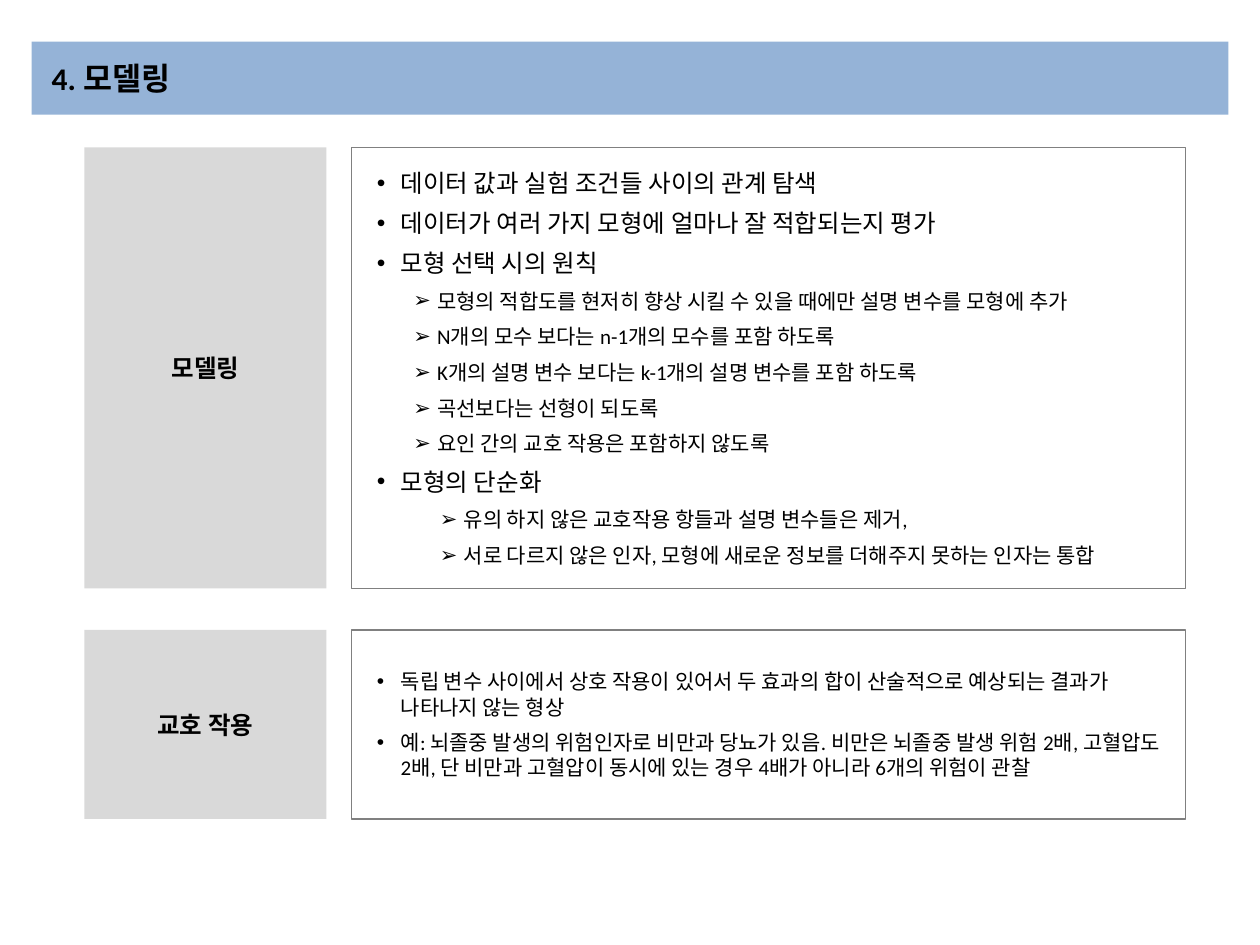
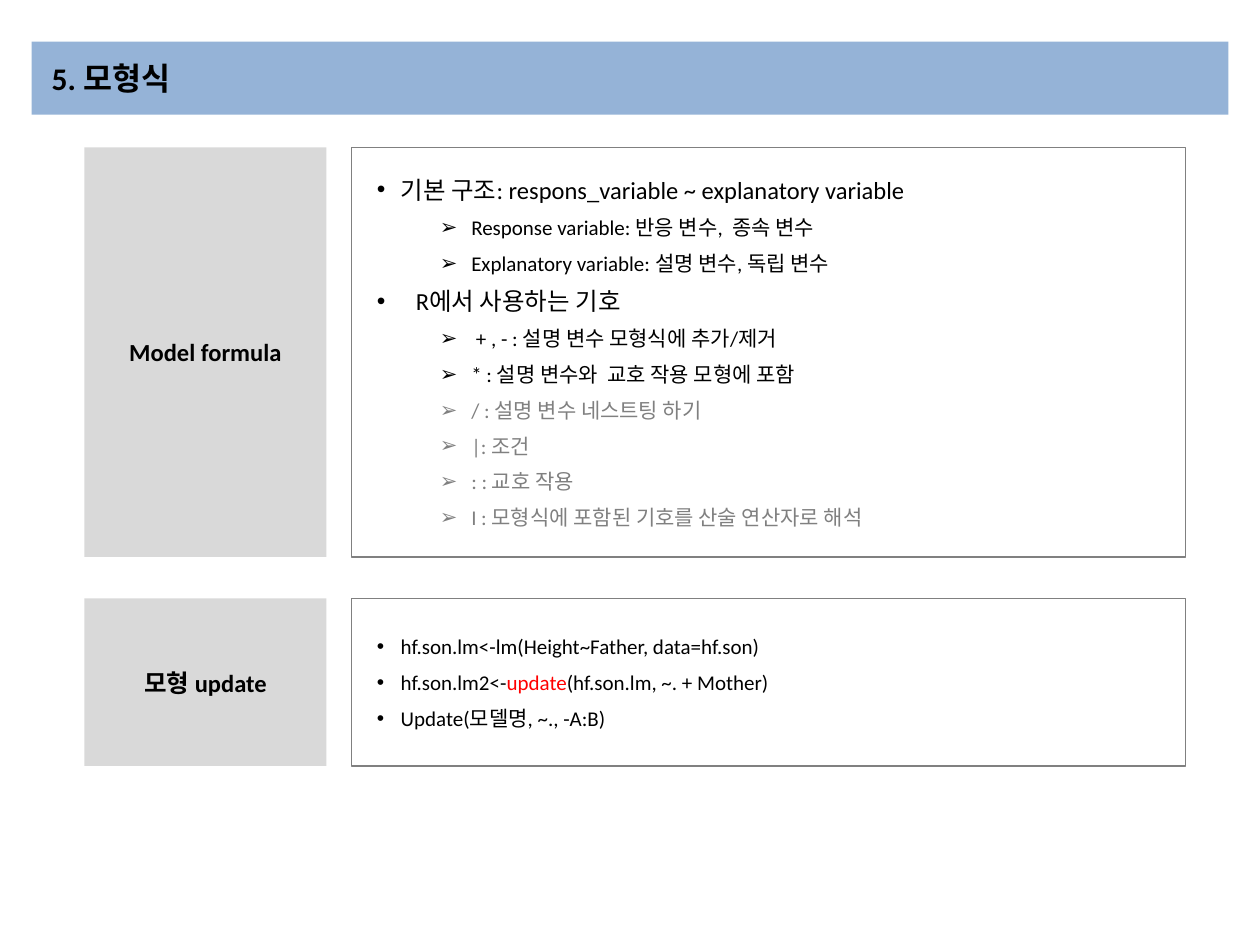
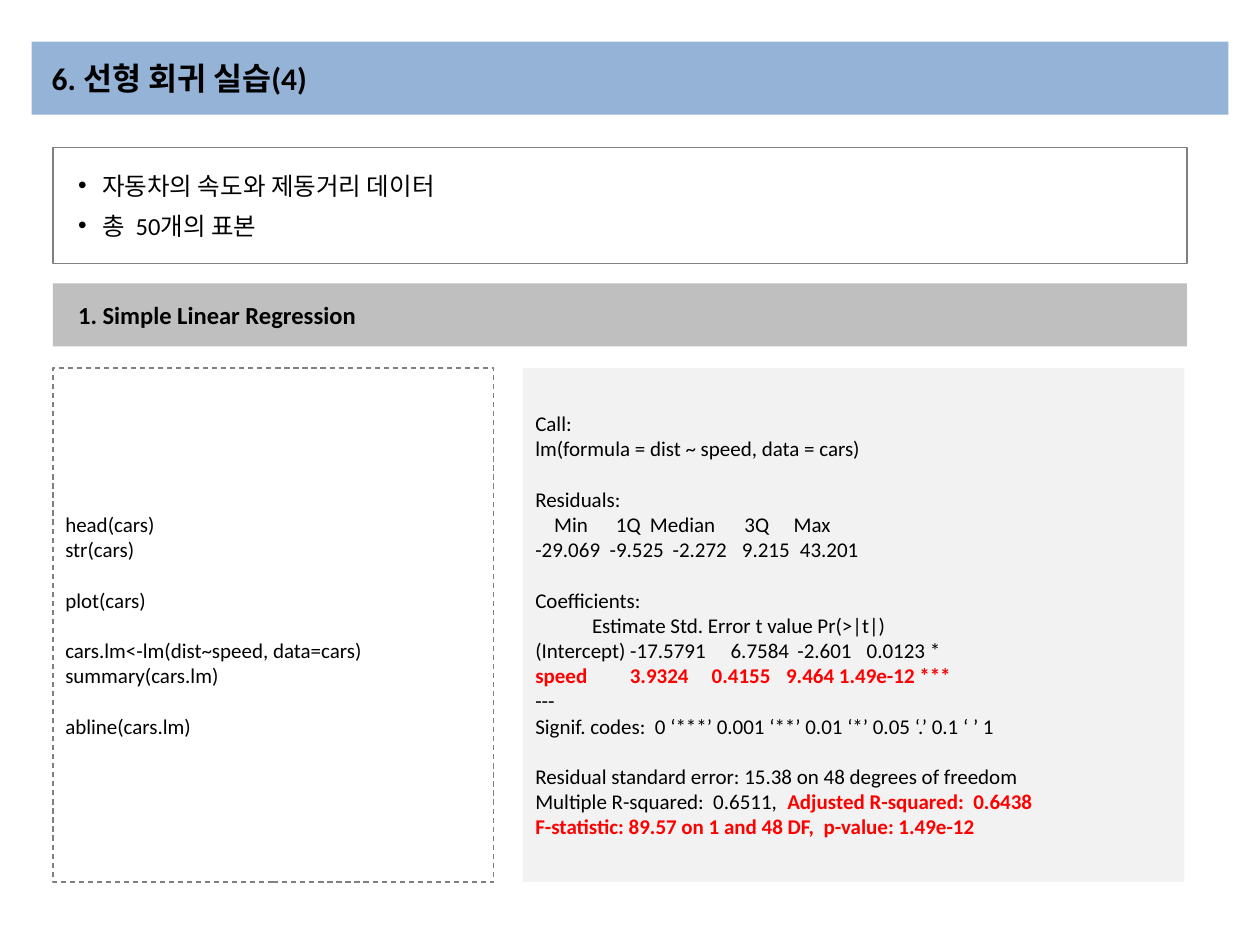
from lxml import etree
from pptx import Presentation
from pptx.dml.color import RGBColor
from pptx.enum.dml import MSO_LINE
from pptx.enum.shapes import MSO_SHAPE
from pptx.enum.text import MSO_ANCHOR, MSO_AUTO_SIZE, PP_ALIGN
from pptx.oxml.ns import qn
from pptx.util import Inches, Pt

RECT = MSO_SHAPE.RECTANGLE
MIDDLE = MSO_ANCHOR.MIDDLE
FIXED = MSO_AUTO_SIZE.NONE
LEFT, CENTER = PP_ALIGN.LEFT, PP_ALIGN.CENTER
DASH = MSO_LINE.DASH

FONT = "Calibri"
HUE = {"band": "95B3D7", "label": "D9D9D9", "bar": "BFBFBF", "panel": "F2F2F2",
       "line": "808080", "dim": "808080", "ink": "000000", "hot": "FF0000"}
BAND = (0.25, 0.33, 9.5, 0.58)
TOP = 1.17
LINE = 14.4

KINDS = {
    "main": (0, 0.29, 0.19, "•", 14, "ink"),
    "wide": (0, 0.41, 0.31, "•", 14, "ink"),
    "note": (0, 0.29, 0.19, "•", 12, "ink"),
    "sub": (1, 0.58, 0.19, "➢", 12, "ink"),
    "deep": (1, 0.79, 0.19, "➢", 12, "ink"),
    "term": (1, 0.85, 0.25, "➢", 12, "ink"),
    "dim": (1, 0.85, 0.25, "➢", 12, "dim"),
}


def paint(font, size, hue="ink", bold=False):
    """Set the face, size, colour and weight of a font."""
    font.name, font.size, font.bold = FONT, Pt(size), bold
    font.color.rgb = RGBColor.from_string(HUE[hue])


def place(shape, box):
    """Move a shape to a box given in inches."""
    shape.left, shape.top, shape.width, shape.height = map(Inches, box)


def dress(shape, fill=None, line=None, dash=None):
    """Set fill, outline and the middle anchor of a shape."""
    if fill:
        shape.fill.solid()
        shape.fill.fore_color.rgb = RGBColor.from_string(HUE[fill])
    else:
        shape.fill.background()
    if line:
        shape.line.color.rgb = RGBColor.from_string(HUE[line])
        shape.line.width = Pt(0.75)
        if dash:
            shape.line.dash_style = dash
    else:
        shape.line.fill.background()
    frame = shape.text_frame
    frame.word_wrap = True
    frame.auto_size = FIXED
    frame.vertical_anchor = MIDDLE
    return frame


def block(slide, box, **look):
    """Add a plain rectangle and return its text frame."""
    shape = slide.shapes.add_shape(RECT, *map(Inches, box))
    shape.shadow.inherit = False
    return dress(shape, **look)


def lines(frame, items):
    """Yield one paragraph of the frame for each item."""
    for i, item in enumerate(items):
        yield (frame.add_paragraph() if i else frame.paragraphs[0]), item


def write(para, text, size, hue="ink", bold=False):
    """Fill a paragraph with a string or with (string, style) pieces."""
    paint(para.font, size, hue, bold)
    if isinstance(text, str):
        text = [(text, None)]
    for part, style in text:
        run = para.add_run()
        run.text = part
        if style:
            paint(run.font, size, "hot", style == "strong")


def head(slide, text):
    """Turn the title placeholder into the band at the top."""
    title = slide.shapes.title
    place(title, BAND)
    frame = dress(title, fill="band")
    frame.margin_left = Inches(0.16)
    para = frame.paragraphs[0]
    para.alignment = LEFT
    write(para, text, 18, bold=True)


def label(slide, box, text, fill="label", align=CENTER, inset=0.1):
    """Add a filled box with a bold caption."""
    frame = block(slide, box, fill=fill)
    frame.margin_left = Inches(inset)
    para = frame.paragraphs[0]
    para.alignment = align
    write(para, text, 14, bold=True)


def points(slide, idx, box, items):
    """Fill a body placeholder with an outlined bullet list."""
    body = slide.placeholders[idx]
    place(body, box)
    for para, (kind, text) in lines(dress(body, line="line"), items):
        level, left, hang, mark, size, hue = KINDS[kind]
        para.level = level
        para.space_before = Pt(6)
        props = para._p.get_or_add_pPr()
        props.set("marL", str(Inches(left)))
        props.set("indent", str(-Inches(hang)))
        etree.SubElement(props, qn("a:buFont")).set("typeface", "Arial")
        etree.SubElement(props, qn("a:buChar")).set("char", mark)
        write(para, text, size, hue)


def code(slide, box, items, **look):
    """Add a box of code lines given as (text, gap, tabs, hot)."""
    for para, (text, gap, tabs, hot) in lines(block(slide, box, **look), items):
        para.alignment = LEFT
        para.space_before = Pt(LINE if gap else 0)
        if tabs:
            stops = etree.SubElement(para._p.get_or_add_pPr(), qn("a:tabLst"))
            for at in tabs:
                stop = etree.SubElement(stops, qn("a:tab"))
                stop.set("pos", str(Inches(at)))
                stop.set("algn", "l")
        write(para, text, 12, "hot" if hot else "ink", hot)


def row(text, gap=False, tabs=(), hot=False):
    """Describe one line of code."""
    return text, gap, tabs, hot


def topics(deck, title, rows, gap):
    """Build a slide of captions beside bullet lists."""
    slide = deck.slides.add_slide(deck.slide_layouts[3])
    head(slide, title)
    top = TOP
    for idx, (name, high, items) in enumerate(rows, 1):
        label(slide, (0.67, top, 1.92, high), name)
        points(slide, idx, (2.79, top, 6.62, high), items)
        top += high + gap


def lab(deck, title, facts, name, source, output):
    """Build a slide of facts, a heading, code and its output."""
    slide = deck.slides.add_slide(deck.slide_layouts[1])
    head(slide, title)
    points(slide, 1, (0.42, TOP, 9, 0.92), facts)
    label(slide, (0.42, 2.25, 9, 0.5), name, "bar", LEFT, 0.2)
    code(slide, (0.42, 2.92, 3.5, 4.08), source, line="line", dash=DASH)
    code(slide, (4.15, 2.92, 5.25, 4.08), output, fill="panel")


MODEL = [
    ("main", "데이터 값과 실험 조건들 사이의 관계 탐색"),
    ("main", "데이터가 여러 가지 모형에 얼마나 잘 적합되는지 평가"),
    ("main", "모형 선택 시의 원칙"),
    ("sub", "모형의 적합도를 현저히 향상 시킬 수 있을 때에만 설명 변수를 모형에 추가"),
    ("sub", "N개의 모수 보다는 n-1개의 모수를 포함 하도록"),
    ("sub", "K개의 설명 변수 보다는 k-1개의 설명 변수를 포함 하도록"),
    ("sub", "곡선보다는 선형이 되도록"),
    ("sub", "요인 간의 교호 작용은 포함하지 않도록"),
    ("main", "모형의 단순화"),
    ("deep", "유의 하지 않은 교호작용 항들과 설명 변수들은 제거,"),
    ("deep", "서로 다르지 않은 인자, 모형에 새로운 정보를 더해주지 못하는 인자는 통합"),
]
CROSS = [
    ("note", "독립 변수 사이에서 상호 작용이 있어서 두 효과의 합이 산술적으로 "
             "예상되는 결과가 나타나지 않는 형상"),
    ("note", "예: 뇌졸중 발생의 위험인자로 비만과 당뇨가 있음. 비만은 뇌졸중 발생 위험 2배, "
             "고혈압도 2배, 단 비만과 고혈압이 동시에 있는 경우 4배가 아니라 "
             "6개의 위험이 관찰"),
]
FORM = [
    ("main", "기본 구조: respons_variable ~ explanatory variable"),
    ("term", "Response variable: 반응 변수,  종속 변수"),
    ("term", "Explanatory variable: 설명 변수, 독립 변수"),
    ("wide", "R에서 사용하는 기호"),
    ("term", " + , - : 설명 변수 모형식에 추가/제거"),
    ("term", "* : 설명 변수와  교호 작용 모형에 포함"),
    ("dim", "/ : 설명 변수 네스트팅 하기"),
    ("dim", "|: 조건"),
    ("dim", ": : 교호 작용"),
    ("dim", "I : 모형식에 포함된 기호를 산술 연산자로 해석"),
]
UPDATE = [
    ("note", "hf.son.lm<-lm(Height~Father, data=hf.son)"),
    ("note", [("hf.son.lm2<-", None), ("update", "plain"),
              ("(hf.son.lm, ~. + Mother)", None)]),
    ("note", "Update(모델명, ~., -A:B)"),
]
CARS = [("main", "자동차의 속도와 제동거리 데이터"), ("main", "총  50개의 표본")]
SOURCE = [
    row("head(cars)"),
    row("str(cars)"),
    row("plot(cars)", gap=True),
    row("cars.lm<-lm(dist~speed, data=cars)", gap=True),
    row("summary(cars.lm)"),
    row("abline(cars.lm)", gap=True),
]
OUTPUT = [
    row("Call:"),
    row("lm(formula = dist ~ speed, data = cars)"),
    row("Residuals:", gap=True),
    row("\tMin\t1Q\tMedian\t3Q\tMax", tabs=(0.15, 0.64, 0.91, 1.66, 2.05)),
    row("-29.069\t-9.525\t-2.272\t9.215\t43.201", tabs=(0.59, 1.09, 1.64, 2.1)),
    row("Coefficients:", gap=True),
    row("\tEstimate Std. Error t value Pr(>|t|)", tabs=(0.45,)),
    row("(Intercept) -17.5791\t6.7584\t-2.601\t0.0123 *", tabs=(1.55, 2.08, 2.63)),
    row("speed\t3.9324\t0.4155\t9.464 1.49e-12 ***", tabs=(0.75, 1.4, 1.99), hot=True),
    row("---"),
    row("Signif. codes:  0 ‘***’ 0.001 ‘**’ 0.01 ‘*’ 0.05 ‘.’ 0.1 ‘ ’ 1"),
    row("Residual standard error: 15.38 on 48 degrees of freedom", gap=True),
    row([("Multiple R-squared:  0.6511,\t", None),
         ("Adjusted R-squared:  0.6438", "strong")], tabs=(2,)),
    row("F-statistic: 89.57 on 1 and 48 DF,  p-value: 1.49e-12", hot=True),
]

deck = Presentation()
deck.slide_width, deck.slide_height = Inches(10), Inches(7.5)
topics(deck, "4. 모델링", [("모델링", 3.5, MODEL), ("교호 작용", 1.5, CROSS)], 0.33)
topics(deck, "5. 모형식",
       [("Model formula", 3.25, FORM), ("모형 update", 1.33, UPDATE)], 0.33)
lab(deck, "6. 선형 회귀 실습(4)", CARS, "1. Simple Linear Regression", SOURCE, OUTPUT)
deck.save("out.pptx")
